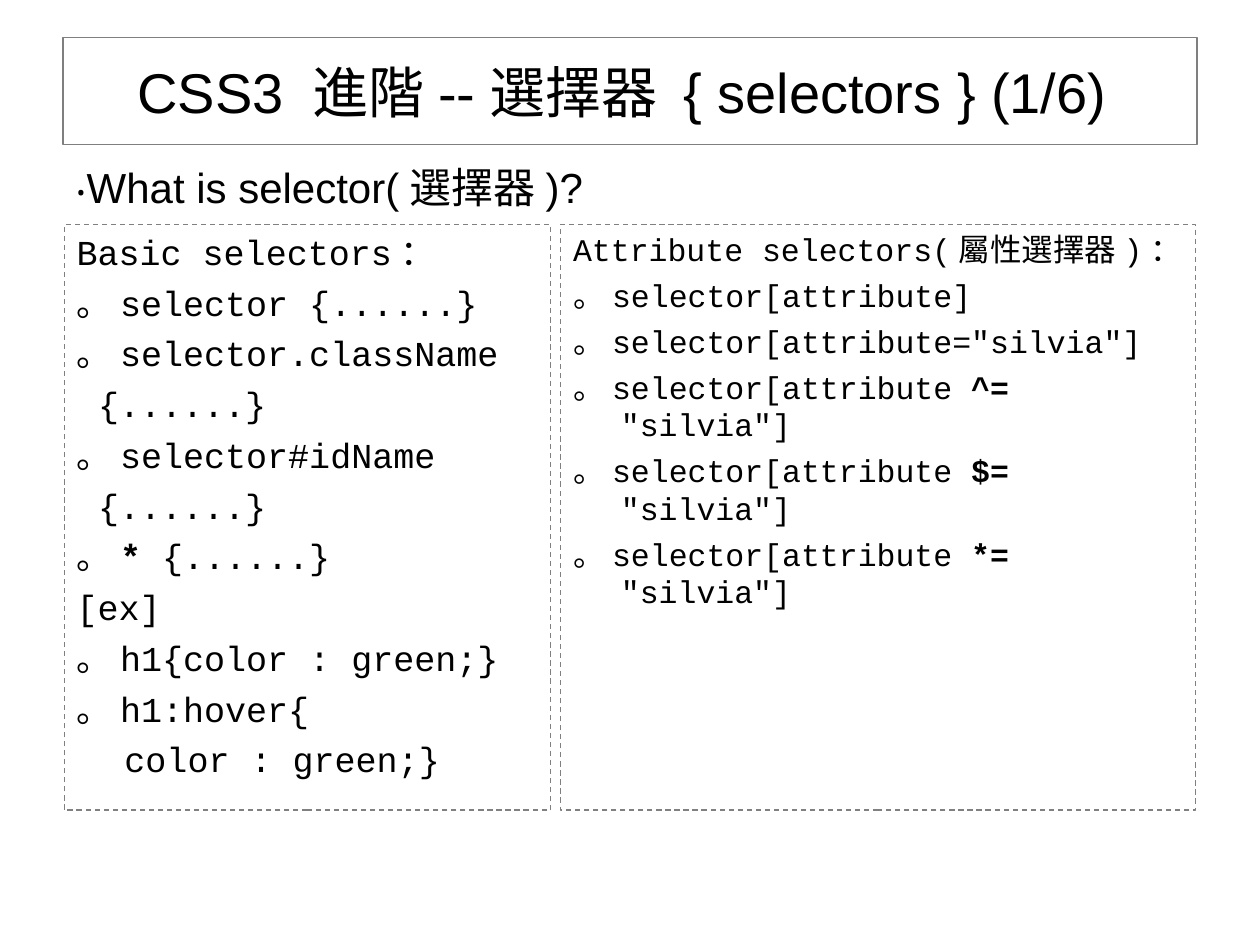
from dataclasses import dataclass

from pptx import Presentation
from pptx.dml.color import RGBColor
from pptx.enum.dml import MSO_LINE
from pptx.enum.shapes import MSO_SHAPE
from pptx.enum.text import MSO_ANCHOR, PP_ALIGN
from pptx.util import Emu, Pt

EMU_PER_PX = 9144


@dataclass(frozen=True)
class Theme:
    """Colours, fonts and type sizes of the slide."""
    ink: RGBColor = RGBColor(0x00, 0x00, 0x00)
    title_line: RGBColor = RGBColor(0x7F, 0x7F, 0x7F)
    panel_line: RGBColor = RGBColor(0x80, 0x80, 0x80)
    sans: str = "Arial"
    mono: str = "Courier New"
    title: int = 32
    question: int = 24
    basic: int = 20
    attribute: int = 18


THEME = Theme()
HANG = 38
BASIC = [
    ("Basic selectors：",),
    ("。selector {......}",),
    ("。selector.className",),
    ("{......}", 17),
    ("。selector#idName",),
    ("{......}", 17),
    (["。", "* ", "{......}"],),
    ("[ex]",),
    ("。h1{color : green;}",),
    ("。h1:hover{",),
    ("color : green;}", HANG),
]
ATTRIBUTE = [
    ("Attribute selectors(屬性選擇器)：",),
    ("。selector[attribute]",),
    ('。selector[attribute="silvia"]',),
] + [(["。selector[attribute ", f"{op}= ", '"silvia"]'],) for op in "^$*"]


def px(n):
    """Turn px into EMU."""
    return Emu(n * EMU_PER_PX)


def add_text(p, text, font=THEME.sans, size=18, align=PP_ALIGN.LEFT,
             before=0, margin=0, start=0):
    """Fill a paragraph; in a list of pieces every second one is bold."""
    p.alignment = align
    p.space_before = Pt(before)
    pPr = p._p.get_or_add_pPr()
    pPr.set("marL", str(px(margin)))
    pPr.set("indent", str(px(start - margin)))
    for i, piece in enumerate([text] if isinstance(text, str) else text):
        r = p.add_run()
        r.text = piece
        r.font.name = font
        r.font.size = Pt(size)
        r.font.bold = i % 2 == 1
        r.font.color.rgb = THEME.ink


def add_frame(slide, box, line, dash=None, anchor=MSO_ANCHOR.TOP):
    """Add an unfilled outlined rectangle and return its text frame."""
    sp = slide.shapes.add_shape(MSO_SHAPE.RECTANGLE, *map(px, box))
    sp.shadow.inherit = False
    sp.fill.background()
    sp.line.color.rgb = line
    sp.line.width = Pt(0.75)
    if dash:
        sp.line.dash_style = dash
    tf = sp.text_frame
    tf.word_wrap = True
    tf.vertical_anchor = anchor
    return tf


def add_title(slide, box, text):
    """Add the framed title."""
    tf = add_frame(slide, box, THEME.title_line, anchor=MSO_ANCHOR.MIDDLE)
    add_text(tf.paragraphs[0], text, size=THEME.title, align=PP_ALIGN.CENTER)


def add_question(slide, box, text):
    """Add the question line under the title."""
    tf = slide.shapes.add_textbox(*map(px, box)).text_frame
    tf.word_wrap = True
    add_text(tf.paragraphs[0], text, size=THEME.question, margin=HANG)


def add_panel(slide, box, lines, size):
    """Add a dashed panel of hanging code lines."""
    tf = add_frame(slide, box, THEME.panel_line, dash=MSO_LINE.DASH)
    for i, (text, *start) in enumerate(lines):
        p = tf.add_paragraph() if i else tf.paragraphs[0]
        add_text(p, text, font=THEME.mono, size=size, margin=HANG,
                 before=size / 4 if i else 0, start=sum(start))


def main():
    """Build and save the slide."""
    prs = Presentation()
    prs.slide_width, prs.slide_height = px(1000), px(750)
    slide = prs.slides.add_slide(prs.slide_layouts[6])
    add_title(slide, (50, 30, 900, 85), "CSS3 進階--選擇器 { selectors } (1/6) ")
    add_question(slide, (50, 123, 900, 55), "‧What is selector(選擇器)?")
    add_panel(slide, (51, 178, 386, 465), BASIC, THEME.basic)
    add_panel(slide, (445, 178, 504, 465), ATTRIBUTE, THEME.attribute)
    prs.save("out.pptx")


if __name__ == "__main__":
    main()
